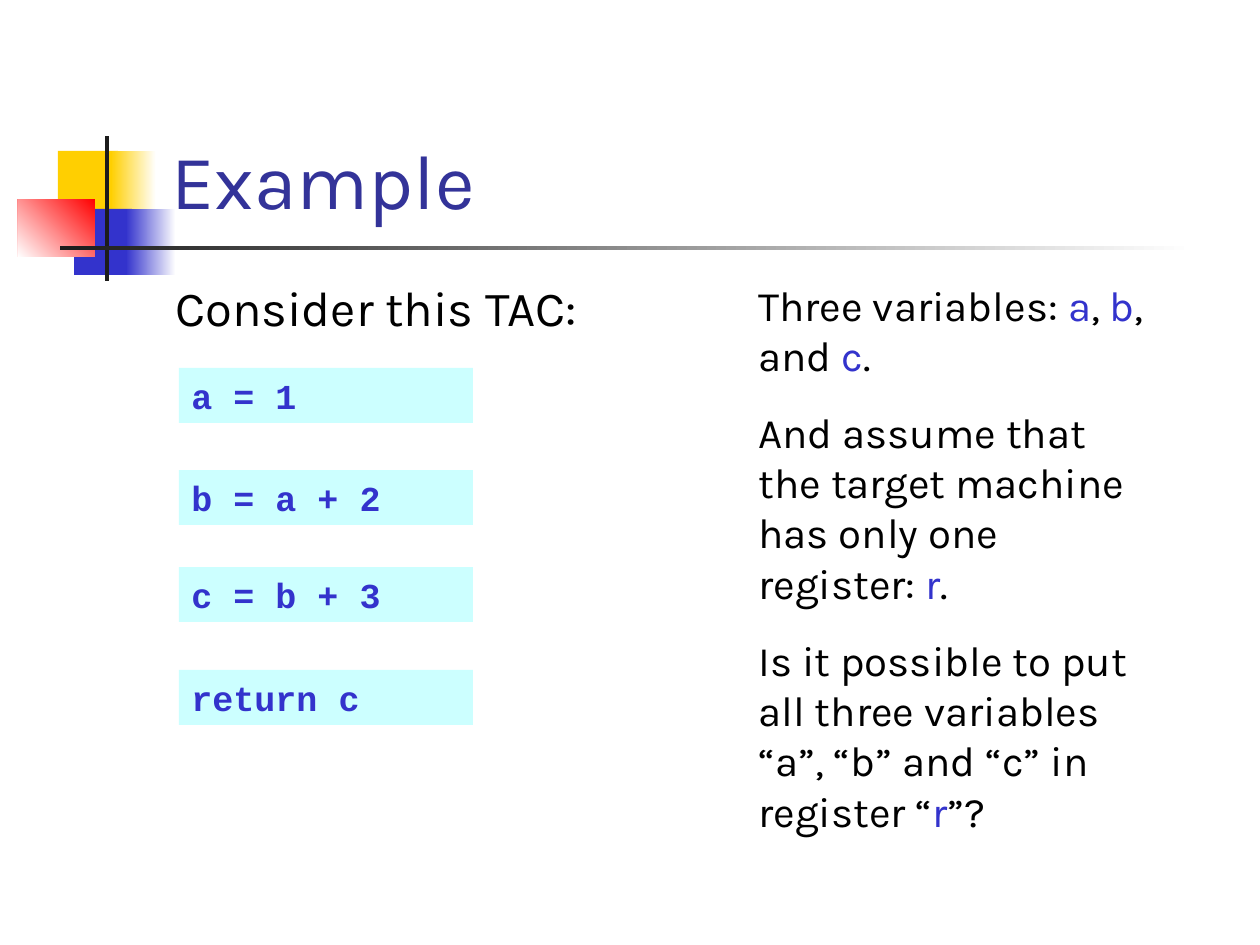
from pptx import Presentation
from pptx.dml.color import RGBColor
from pptx.enum.shapes import MSO_SHAPE as Shape
from pptx.enum.text import MSO_ANCHOR as Anchor, MSO_AUTO_SIZE as AutoSize, PP_ALIGN as Align
from pptx.util import Pt

# Content: a run is (text, colour role)
TITLE = "Example"
INTRO = "Consider this TAC:"
CODE = ["a = 1", "b = a + 2", "c = b + 3", "return c"]
NOTES = [
    [("Three variables: ", "text"), ("a", "accent"), (", ", "text"), ("b", "accent"),
     (", and ", "text"), ("c", "accent"), (".", "text")],
    [("And assume that the target machine has only one register: ", "text"),
     ("r", "accent"), (".", "text")],
    [("Is it possible to put all three variables “a”, “b” and “c” in register “", "text"),
     ("r", "accent"), ("”?", "text")],
]

THEME = {
    "font": "Karla", "code_font": "Courier New",
    "title": "333399", "text": "000000", "accent": "3333CC", "code_fill": "CCFFFF",
    "yellow": "FFCF01", "red": "FF0000", "dark": "1C1C1C", "white": "FFFFFF",
    "title_size": 44, "intro_size": 28, "notes_size": 24, "code_size": 20,
}

# Ornament: box in px, gradient stops (one is a solid fill), counter-clockwise angle
ORNAMENT = [
    ((58, 151, 60, 66), ["yellow"], 0),
    ((111, 151, 45, 66), ["white", "yellow"], 180),
    ((74, 209, 58, 66), ["accent"], 0),
    ((126, 209, 50, 66), ["white", "accent"], 180),
    ((18, 199, 77, 58), ["red", "white"], 225),
    ((105, 136, 4, 145), ["dark"], 0),
    ((60, 246, 1134, 4), ["white", "dark"], 180),
]

# Layout in px, 126 to the inch
PX = 914400 / 126
TITLE_BOX = (159, 29, 1074, 202)
INTRO_BOX = (163, 278, 499, 68)
NOTES_BOX = (746, 273, 410, 570)
CODE_LEFT, CODE_WIDTH, CODE_HEIGHT = 179, 294, 55
CODE_TOPS = [368, 470, 567, 670]
INTRO_INDENT = 48


def emu(*lengths):
    return [round(length * PX) for length in lengths]


def color(role):
    return RGBColor.from_string(THEME[role])


def add_rect(slide, box, roles, angle=0):
    rect = slide.shapes.add_shape(Shape.RECTANGLE, *emu(*box))
    rect.shadow.inherit = False
    rect.line.fill.background()
    if len(roles) == 1:
        rect.fill.solid()
        rect.fill.fore_color.rgb = color(roles[0])
    else:
        rect.fill.gradient()
        rect.fill.gradient_angle = angle
        for stop, role in zip(rect.fill.gradient_stops, roles):
            stop.color.rgb = color(role)
    return rect


def write(frame, paragraphs, size, font="font", bold=False, before=0, anchor=Anchor.TOP):
    frame.word_wrap = True
    frame.auto_size = AutoSize.NONE
    frame.vertical_anchor = anchor
    for i, runs in enumerate(paragraphs):
        paragraph = frame.add_paragraph() if i else frame.paragraphs[0]
        paragraph.alignment = Align.LEFT
        paragraph.space_before = Pt(before)
        paragraph.font.name = THEME[font]
        paragraph.font.size = Pt(THEME[size])
        paragraph.font.bold = bold
        for text, role in runs:
            run = paragraph.add_run()
            run.text = text
            run.font.color.rgb = color(role)


def main():
    deck = Presentation()
    deck.slide_width, deck.slide_height = emu(1260, 945)
    slide = deck.slides.add_slide(deck.slide_layouts[5])

    # Ornament behind the title
    for box, roles, angle in ORNAMENT:
        add_rect(slide, box, roles, angle)

    # Title, brought in front of the ornament
    title = slide.shapes.title
    title.left, title.top, title.width, title.height = emu(*TITLE_BOX)
    write(title.text_frame, [[(TITLE, "title")]], "title_size", anchor=Anchor.BOTTOM)
    slide.shapes._spTree.append(title._element)

    # Intro line with a hanging indent
    intro = slide.shapes.add_textbox(*emu(*INTRO_BOX)).text_frame
    write(intro, [[(INTRO, "text")]], "intro_size", before=7)
    intro.paragraphs[0].line_spacing = 0.9
    indent, = emu(INTRO_INDENT)
    properties = intro.paragraphs[0]._p.get_or_add_pPr()
    properties.set("marL", str(indent))
    properties.set("indent", str(-indent))

    # Notes column
    notes = slide.shapes.add_textbox(*emu(*NOTES_BOX))
    write(notes.text_frame, NOTES, "notes_size", before=15)

    # Code boxes
    for line, top in zip(CODE, CODE_TOPS):
        code = add_rect(slide, (CODE_LEFT, top, CODE_WIDTH, CODE_HEIGHT), ["code_fill"])
        write(code.text_frame, [[(line, "accent")]], "code_size", "code_font",
              bold=True, before=12.5)

    deck.save("out.pptx")


if __name__ == "__main__":
    main()
